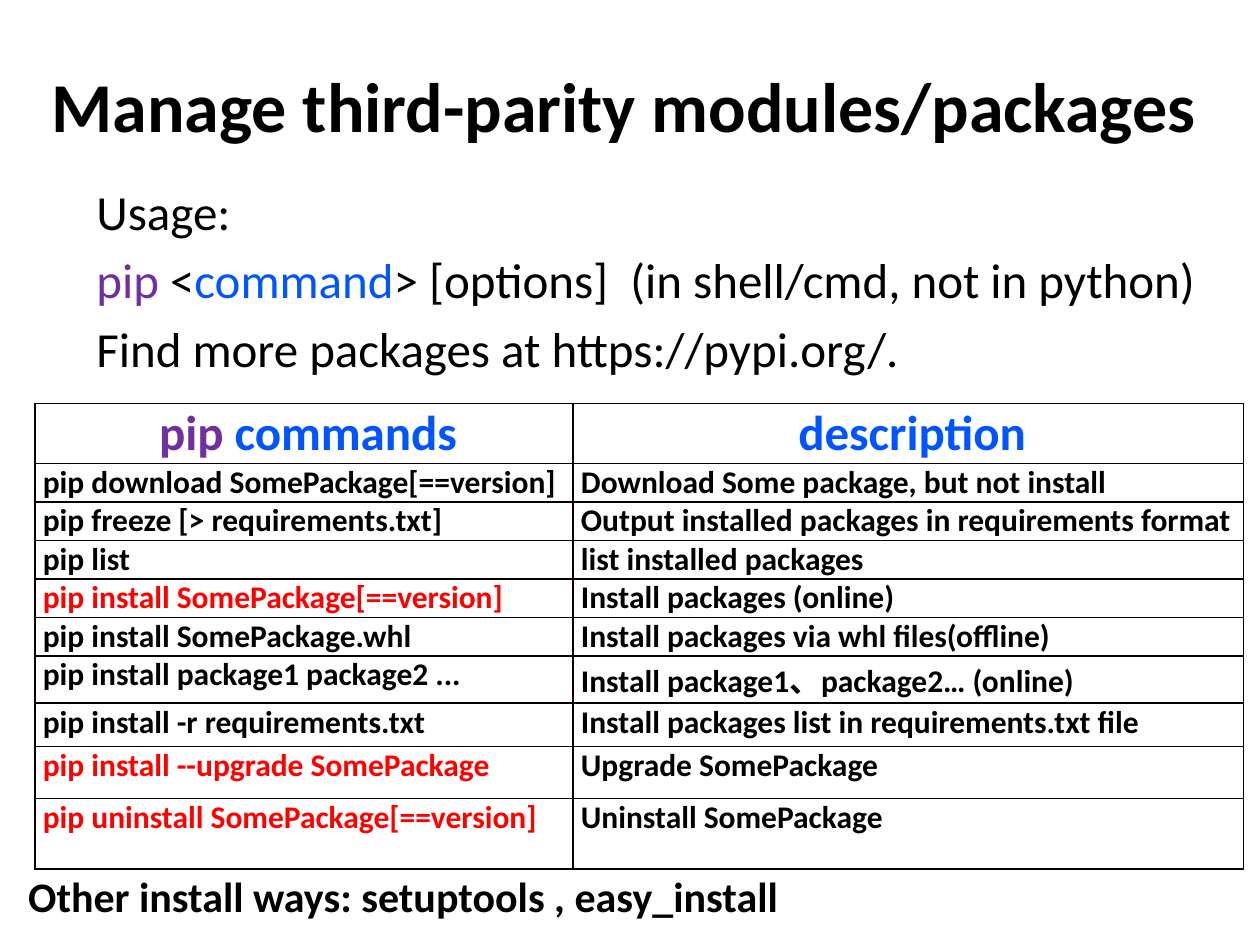
import pptx
import pptx.dml.color
import pptx.enum.text
import pptx.oxml
import pptx.oxml.ns
import pptx.util

Pt = pptx.util.Pt
ALIGN = pptx.enum.text.PP_ALIGN
ANCHOR = pptx.enum.text.MSO_ANCHOR

COLORS = {
    "black": "000000",
    "purple": "7030A0",
    "blue": "0055FE",
    "red": "FF0000",
    "border": "080000",
}

USAGE = [
    [("Usage:", "black")],
    [("pip", "purple"), (" <", "black"), ("command", "blue"),
     ("> [options]  (in shell/cmd, not in python)", "black")],
    [("Find more packages at\u00a0https://pypi.org/.", "black")],
]

HEADER = [[("pip ", "purple"), ("commands", "blue")], [("description", "blue")]]
HEADER_HEIGHT = 34

# command, command colour, description, row height
COMMANDS = [
    ("pip download SomePackage[==version]", "black", "Download Some package, but not install", 22),
    ("pip freeze [> requirements.txt]", "black", "Output installed packages in requirements format", 22),
    ("pip list", "black", "list installed packages", 22),
    ("pip install SomePackage[==version]", "red", "Install packages (online)", 22),
    ("pip install SomePackage.whl", "black", "Install packages via whl files(offline)", 22),
    ("pip install package1 package2 ...", "black", "Install package1、package2… (online)", 27),
    ("pip install -r requirements.txt", "black", "Install packages list in requirements.txt file", 25),
    ("pip install --upgrade SomePackage", "red", "Upgrade SomePackage", 29.5),
    ("pip uninstall SomePackage[==version]", "red", "Uninstall SomePackage", 40.5),
]


class SlideBuilder:
    def __init__(self, slide, font="Calibri"):
        self.slide = slide
        self.font = font

    def fill_paragraph(self, paragraph, parts, size, bold=False, align=ALIGN.LEFT):
        """Fill a paragraph with (text, colour name) parts."""
        paragraph.alignment = align
        for text, color in parts:
            run = paragraph.add_run()
            run.text = text
            run.font.name = self.font
            run.font.size = Pt(size)
            run.font.bold = bold
            run.font.color.rgb = pptx.dml.color.RGBColor.from_string(COLORS[color])

    def title(self, text, left, top, width, height):
        shape = self.slide.shapes.title
        shape.left, shape.top, shape.width, shape.height = map(Pt, (left, top, width, height))
        shape.text_frame.auto_size = pptx.enum.text.MSO_AUTO_SIZE.NONE
        shape.text_frame.vertical_anchor = ANCHOR.MIDDLE
        self.fill_paragraph(shape.text_frame.paragraphs[0], [(text, "black")], 40, True, ALIGN.CENTER)

    def text(self, lines, left, top, width, height, size, bold=False, wrap=True, space_before=0):
        shape = self.slide.shapes.add_textbox(*map(Pt, (left, top, width, height)))
        frame = shape.text_frame
        frame.word_wrap = wrap
        for index, parts in enumerate(lines):
            paragraph = frame.add_paragraph() if index else frame.paragraphs[0]
            paragraph.space_before = Pt(space_before)
            self.fill_paragraph(paragraph, parts, size, bold)

    def table(self, rows, left, top, widths, heights):
        """Add a table whose first row is a large, centred header."""
        frame = self.slide.shapes.add_table(
            len(rows), len(widths), Pt(left), Pt(top), Pt(sum(widths)), Pt(sum(heights)))
        table = frame.table
        table.first_row = table.horz_banding = False
        for column, width in zip(table.columns, widths):
            column.width = Pt(width)
        for row, height, contents in zip(table.rows, heights, rows):
            row.height = Pt(height)
            header = contents is rows[0]
            for cell, parts in zip(row.cells, contents):
                cell.margin_left = Pt(4.5)
                cell.margin_top = cell.margin_right = cell.margin_bottom = 0
                cell.fill.background()
                self.border(cell)
                self.fill_paragraph(cell.text_frame.paragraphs[0], parts, 28 if header else 18,
                                    True, ALIGN.CENTER if header else ALIGN.LEFT)

    def border(self, cell, width=1):
        properties = cell._tc.get_or_add_tcPr()
        for index, side in enumerate("LRTB"):
            line = pptx.oxml.parse_xml(
                f'<a:ln{side} {pptx.oxml.ns.nsdecls("a")} w="{Pt(width)}"><a:solidFill>'
                f'<a:srgbClr val="{COLORS["border"]}"/></a:solidFill></a:ln{side}>')
            properties.insert(index, line)


def main():
    presentation = pptx.Presentation()
    presentation.slide_width, presentation.slide_height = Pt(720), Pt(540)
    title_only = presentation.slide_layouts[5]
    builder = SlideBuilder(presentation.slides.add_slide(title_only))

    rows = [HEADER] + [[[(command, color)], [(description, "black")]]
                       for command, color, description, _ in COMMANDS]
    heights = [HEADER_HEIGHT] + [command[-1] for command in COMMANDS]
    builder.table(rows, 20, 230.5, (307.5, 383), heights)
    builder.text(USAGE, 48, 100, 685.5, 243, 28, space_before=5.6)
    builder.title("Manage third-parity modules/packages", -7, 32, 727, 55.5)
    builder.text([[("Other install ways: setuptools , easy_install", "black")]],
                 9, 494, 448, 36, 24, bold=True, wrap=False)
    presentation.save("out.pptx")


if __name__ == "__main__":
    main()
